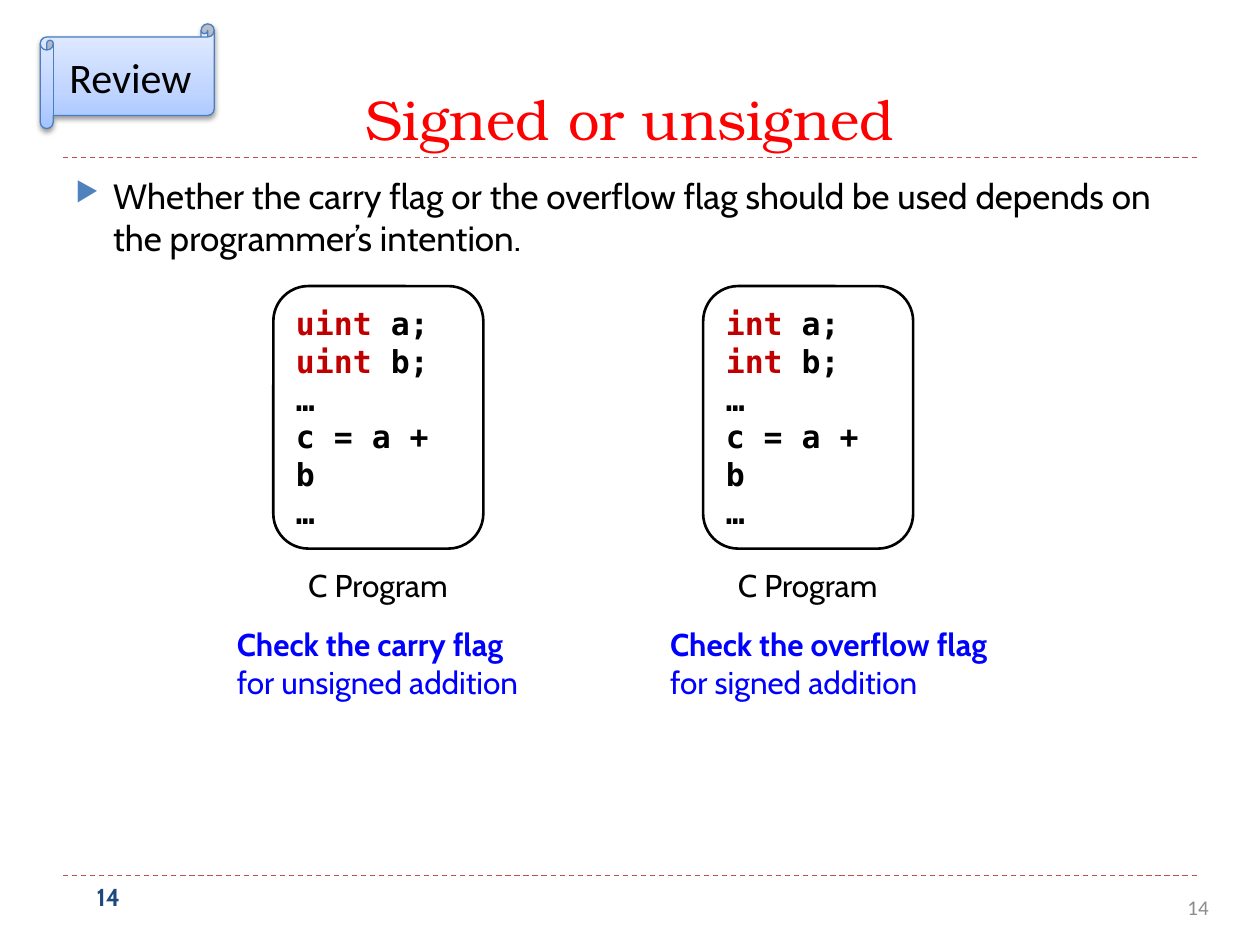
"""Build the slide on checking the carry or the overflow flag."""
from copy import deepcopy

from pptx import Presentation
from pptx.dml.color import RGBColor
from pptx.enum.dml import MSO_LINE
from pptx.enum.shapes import MSO_CONNECTOR, MSO_SHAPE
from pptx.enum.text import MSO_ANCHOR, MSO_AUTO_SIZE, PP_ALIGN
from pptx.oxml import parse_xml
from pptx.oxml.ns import nsdecls, qn
from pptx.util import Pt

BLACK = RGBColor(0, 0, 0)
WHITE = RGBColor(255, 255, 255)
RED = RGBColor(255, 0, 0)
BRICK = RGBColor(0xC0, 0x50, 0x4D)
CRIMSON = RGBColor(0xC0, 0, 0)
BLUE = RGBColor(0, 0, 255)
NAVY = RGBColor(0x1F, 0x49, 0x7D)
GREY = RGBColor(0x8C, 0x8C, 0x8C)
STEEL = RGBColor(0x4B, 0x7E, 0xBC)
SHADES = [(0, RGBColor(0xA4, 0xC4, 0xFF)), (0.35, RGBColor(0xBF, 0xD4, 0xFF)),
          (1, RGBColor(0xE6, 0xEE, 0xFF))]

HEAD = {"name": "TeX Gyre Bonum", "size": Pt(32)}
BODY = {"name": "Cabin", "size": Pt(20)}
NOTE = {"name": "Cabin", "size": Pt(18)}
STRONG = {**NOTE, "bold": True}
CODE = {"name": "DejaVu Sans Mono", "size": Pt(18), "bold": True}
PAGE = {"name": "Cabin", "size": Pt(14), "bold": True}
FOOT = {"name": "Calibri", "size": Pt(12)}
BADGE = {"name": "Calibri", "size": Pt(24)}


def write(shape, rows, align=PP_ALIGN.LEFT, **frame):
    """Fill a shape with rows of (text, format, colour) runs."""
    text = shape.text_frame
    for key, value in {"word_wrap": True, **frame}.items():
        setattr(text, key, value)
    for i, row in enumerate(rows):
        para = text.paragraphs[0] if i == 0 else text.add_paragraph()
        para.alignment = align
        for words, style, color in row:
            run = para.add_run()
            run.text = words
            run.font.color.rgb = color
            for key, value in style.items():
                setattr(run.font, key, value)


def label(slide, box, rows, **frame):
    """Add a text box."""
    shape = slide.shapes.add_textbox(*map(Pt, box))
    write(shape, rows, **frame)
    return shape


def rule(slide, y):
    """Add a dashed line across the slide."""
    line = slide.shapes.add_connector(
        MSO_CONNECTOR.STRAIGHT, Pt(36), Pt(y), Pt(684), Pt(y))
    line.line.color.rgb = BRICK
    line.line.width = Pt(0.75)
    line.line.dash_style = MSO_LINE.DASH
    line._element.spPr.append(parse_xml(f"<a:effectLst {nsdecls('a')}/>"))


def outline(slide, kind, box, color, width):
    """Add an outlined preset shape without a shadow."""
    shape = slide.shapes.add_shape(kind, *map(Pt, box))
    shape.shadow.inherit = False
    shape.line.color.rgb = color
    shape.line.width = Pt(width)
    return shape


def bullet(para):
    """Give a paragraph a hanging triangle bullet."""
    para.space_before = Pt(6)
    props = para._p.get_or_add_pPr()
    props.set("marL", str(Pt(21.6)))
    props.set("indent", str(-Pt(21.6)))
    for tag in ('buClr><a:srgbClr val="4F81BD"/></a:buClr',
                'buSzPct val="76000"/', 'buChar char="▶"/'):
        name = tag.split()[0].split(">")[0]
        end = tag[len(name):].rstrip("/") if tag.endswith("/") else None
        xml = (f"<a:{name} {nsdecls('a')}{end}/>" if end is not None
               else f"<a:{name} {nsdecls('a')}{tag[len(name):]}>")
        props.append(parse_xml(xml))


def code(slide, x, kind):
    """Add a code box with its caption."""
    shape = outline(slide, MSO_SHAPE.ROUNDED_RECTANGLE,
                    (x, 163.5, 120, 150), BLACK, 1.5)
    shape.fill.solid()
    shape.fill.fore_color.rgb = WHITE
    rows = [[(kind + " ", CODE, CRIMSON), (name + ";", CODE, BLACK)]
            for name in "ab"]
    rows += [[(words, CODE, BLACK)] for words in ("…", "c = a + b", "…")]
    write(shape, rows, vertical_anchor=MSO_ANCHOR.MIDDLE)
    label(slide, (x + 12.8, 319.7, 95, 29), [[("C Program", NOTE, BLACK)]],
          word_wrap=False, auto_size=MSO_AUTO_SIZE.SHAPE_TO_FIT_TEXT)


def advice(slide, x, width, flag, kind):
    """Add the advice on which flag to check."""
    label(slide, (x, 353.5, width, 51),
          [[(f"Check the {flag} flag", STRONG, BLUE)],
           [(f"for {kind} addition", NOTE, BLUE)]],
          word_wrap=False, auto_size=MSO_AUTO_SIZE.SHAPE_TO_FIT_TEXT)


def badge(slide):
    """Add the shaded scroll with its soft shadow."""
    shape = outline(slide, MSO_SHAPE.HORIZONTAL_SCROLL,
                    (23, 13.7, 99.4, 59.8), STEEL, 0.75)
    shape.fill.gradient()
    shape.fill.gradient_angle = 90
    props = shape._element.spPr
    stops = props.find(".//" + qn("a:gsLst"))
    stops.append(deepcopy(stops[0]))
    for stop, (place, color) in zip(shape.fill.gradient_stops, SHADES):
        stop.position = place
        stop.color.rgb = color
    props.find(qn("a:effectLst")).append(parse_xml(
        f'<a:outerShdw {nsdecls("a")} blurRad="{Pt(3.1)}" dist="{Pt(1.6)}" '
        'dir="5400000" rotWithShape="0"><a:srgbClr val="000000">'
        '<a:alpha val="38000"/></a:srgbClr></a:outerShdw>'))
    write(shape, [[("Review", BADGE, BLACK)]], align=PP_ALIGN.CENTER,
          vertical_anchor=MSO_ANCHOR.MIDDLE)


def main():
    """Build and save the slide."""
    deck = Presentation()
    deck.slide_width, deck.slide_height = Pt(720), Pt(540)
    slide = deck.slides.add_slide(deck.slide_layouts[6])
    for y in (500.4, 90):
        rule(slide, y)
    label(slide, (473.8, 504, 224, 28.8), [[("14", FOOT, GREY)]],
          align=PP_ALIGN.RIGHT, vertical_anchor=MSO_ANCHOR.MIDDLE)
    label(slide, (36, 12.2, 648, 77.8), [[("Signed or unsigned", HEAD, RED)]],
          align=PP_ALIGN.CENTER, vertical_anchor=MSO_ANCHOR.BOTTOM)
    label(slide, (48.2, 500.4, 156, 28.8), [[("14", PAGE, NAVY)]])
    body = label(slide, (36, 96, 648, 72), [[(
        "Whether the carry flag or the overflow flag should be used depends "
        "on the programmer’s intention.", BODY, BLACK)]])
    bullet(body.text_frame.paragraphs[0])
    code(slide, 156.2, "uint")
    advice(slide, 128.2, 193, "carry", "unsigned")
    code(slide, 401.8, "int")
    advice(slide, 375.8, 212.4, "overflow", "signed")
    badge(slide)
    deck.save("out.pptx")


if __name__ == "__main__":
    main()
